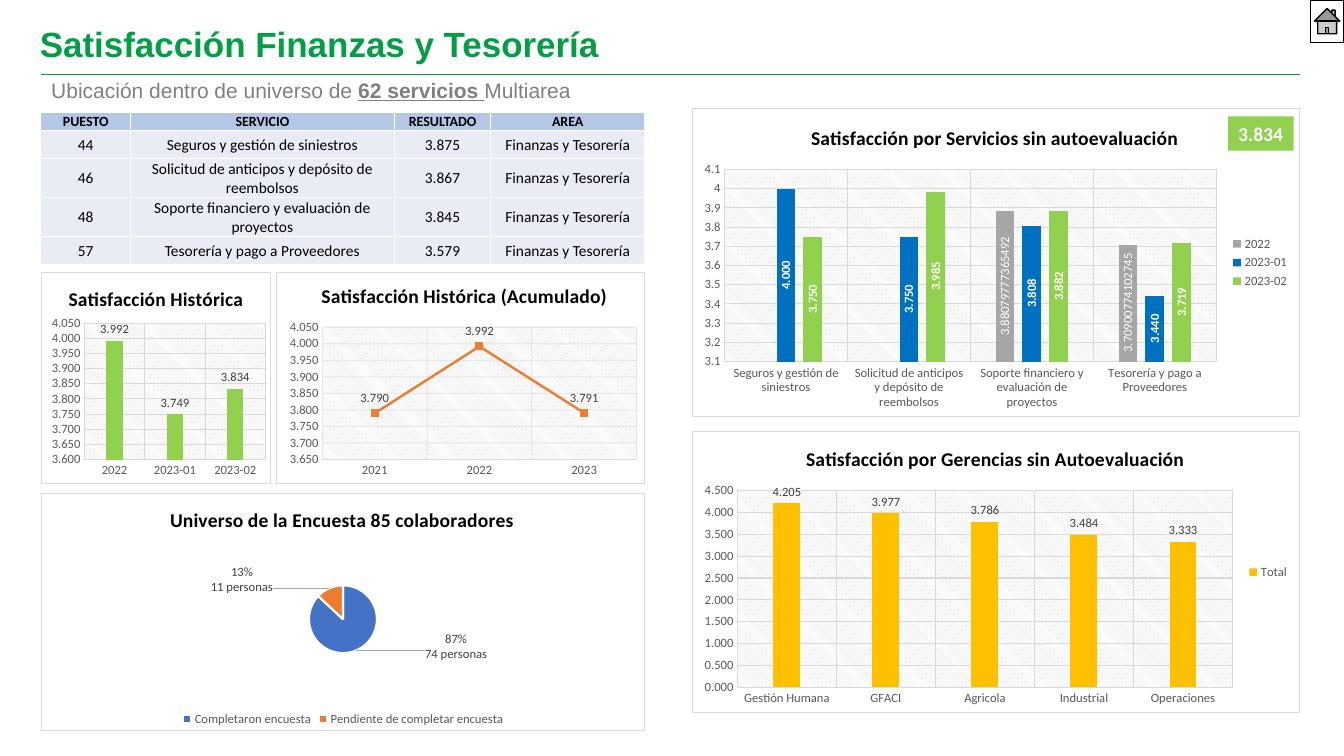
from dataclasses import dataclass
from typing import NamedTuple, Optional
from pptx import Presentation
from pptx.chart.chart import Chart
from pptx.chart.data import CategoryChartData
from pptx.dml.color import RGBColor
from pptx.enum.chart import XL_CHART_TYPE as KIND, XL_LABEL_POSITION as POS, XL_LEGEND_POSITION as SIDE
from pptx.enum.chart import XL_MARKER_STYLE, XL_TICK_MARK
from pptx.enum.shapes import MSO_CONNECTOR, MSO_SHAPE
from pptx.enum.text import MSO_ANCHOR, MSO_AUTO_SIZE, PP_ALIGN
from pptx.oxml import parse_xml
from pptx.oxml.ns import nsdecls, qn
from pptx.util import Pt

GREEN, GRAY, LIME, BARS = "009F43", "D9D9D9", "92D050", KIND.COLUMN_CLUSTERED
NS = nsdecls("a", "c")

class Box(NamedTuple):
    x: float
    y: float
    w: float
    h: float

class Note(NamedTuple):
    index: int
    text: str
    shift: tuple = ()
    color: str = ""

class Line(NamedTuple):
    name: str
    values: list
    color: str
    form: str = "0.000"
    notes: tuple = ()

@dataclass
class Graph:
    kind: KIND
    box: Box
    area: Box
    title: str
    spot: tuple
    cats: list
    lines: list
    scale: tuple = ()
    form: str = "0.000"
    place: POS = POS.OUTSIDE_END
    ink: str = "404040"
    side: Optional[SIDE] = None

def paint(fill, color: str) -> None:
    fill.solid()
    fill.fore_color.rgb = RGBColor.from_string(color)

def style(font, size: float, color: str, bold: bool = False, face: str = "Calibri") -> None:
    font.name, font.size, font.bold = face, Pt(size), bold
    font.color.rgb = RGBColor.from_string(color)

def stroke(line, color: str, width: float = 0.75) -> None:
    paint(line.fill, color)
    line.width = Pt(width)

def span(box: Box) -> list:
    return [Pt(v) for v in box]

def solid(color: str) -> str:
    return f'<a:solidFill><a:srgbClr val="{color}"/></a:solidFill>'

def arrange(host, index: int, **parts: float) -> None:
    for old in host.findall(qn("c:layout")):
        host.remove(old)
    inner = '<c:layoutTarget val="inner"/>' if "w" in parts else ""
    modes = "" if host.tag == qn("c:dLbl") else '<c:xMode val="edge"/><c:yMode val="edge"/>'
    sizes = "".join(f'<c:{k} val="{v:.4f}"/>' for k, v in parts.items())
    host.insert(index, parse_xml(
        f'<c:layout {NS}><c:manualLayout>{inner}{modes}{sizes}</c:manualLayout></c:layout>'))

def dress(chart: Chart, graph: Graph) -> None:
    root = chart.element.find(qn("c:chart"))
    area, box, plot = root.find(qn("c:plotArea")), graph.box, graph.area
    root.addnext(parse_xml(
        f'<c:spPr {NS}>{solid("FFFFFF")}<a:ln w="{Pt(0.75)}">{solid(GRAY)}</a:ln></c:spPr>'))
    arrange(area, 0, x=(plot.x - box.x) / box.w, y=(plot.y - box.y) / box.h, w=plot.w / box.w, h=plot.h / box.h)
    if graph.kind != KIND.PIE:
        area.append(parse_xml(
            f'<c:spPr {NS}><a:pattFill prst="ltDnDiag"><a:fgClr><a:srgbClr val="{GRAY}"/></a:fgClr>'
            '<a:bgClr><a:srgbClr val="FFFFFF"/></a:bgClr></a:pattFill></c:spPr>'))
    left, top = graph.spot
    arrange(root.find(qn("c:title")), 1, x=(left - box.x) / box.w, y=(top - box.y) / box.h)

def set_axes(chart: Chart, graph: Graph) -> None:
    for axis in (chart.category_axis, chart.value_axis):
        axis.major_tick_mark = axis.minor_tick_mark = XL_TICK_MARK.NONE
        style(axis.tick_labels.font, 9, "595959")
        axis.has_major_gridlines = True
        stroke(axis.major_gridlines.format.line, GRAY)
        stroke(axis.format.line, GRAY)
        if graph.kind == KIND.LINE_MARKERS:
            for shade in axis._element.find(qn("c:majorGridlines")).iter(qn("a:srgbClr")):
                shade.append(parse_xml(f'<a:alpha {NS} val="54000"/>'))
    axis.format.line.fill.background()
    axis.minimum_scale, axis.maximum_scale, axis.major_unit = graph.scale
    axis.tick_labels.number_format, axis.tick_labels.number_format_is_linked = graph.form, False

def mark(series, line: Line, graph: Graph) -> None:
    labels, mid = series.data_labels, graph.place == POS.CENTER
    labels.show_value, labels.position = True, graph.place
    labels.number_format, labels.number_format_is_linked = line.form, False
    style(labels.font, 9, graph.ink, mid)
    for note in line.notes:
        point = series.points[note.index]
        label = point.data_label
        label.text_frame.text = note.text
        for para in label.text_frame.paragraphs:
            style(para.font, 9, graph.ink, mid)
        label.position = graph.place
        if note.shift:
            paint(point.format.fill, note.color)
            stroke(point.format.line, "FFFFFF", 1.5)
            arrange(label._dLbl, 1, x=note.shift[0], y=note.shift[1])
    if mid:
        for body in labels._element.iter(qn("a:bodyPr")):
            body.set("rot", "-5400000")
            body.set("vert", "horz")
    if graph.kind == KIND.PIE:
        for lead in labels._element.findall(qn("c:showLeaderLines")):
            lead.set("val", "1")
            lead.addnext(parse_xml(
                f'<c:leaderLines {NS}><c:spPr><a:ln w="{Pt(0.75)}">{solid("A6A6A6")}</a:ln></c:spPr></c:leaderLines>'))

def draw_graph(slide, graph: Graph) -> None:
    data = CategoryChartData()
    data.categories = graph.cats
    for line in graph.lines:
        data.add_series(line.name, line.values)
    chart = slide.shapes.add_chart(graph.kind, *span(graph.box), data).chart
    style(chart.font, 10, "000000")
    head = chart.chart_title.text_frame
    head.text = graph.title
    style(head.paragraphs[0].font, 14, "000000", True)
    chart.has_legend = graph.side is not None
    if graph.side is not None:
        chart.legend.position, chart.legend.include_in_layout = graph.side, False
        style(chart.legend.font, 9, "595959")
    plot = chart.plots[0]
    plot.vary_by_categories = graph.kind == KIND.PIE
    if graph.kind != KIND.PIE:
        set_axes(chart, graph)
    for series, line in zip(plot.series, graph.lines):
        mark(series, line, graph)
        if graph.kind == BARS:
            plot.gap_width, plot.overlap, series.invert_if_negative = 267, -43, False
            paint(series.format.fill, line.color)
        elif graph.kind == KIND.LINE_MARKERS:
            series.smooth, series.marker.style, series.marker.size = False, XL_MARKER_STYLE.SQUARE, 5
            stroke(series.format.line, line.color, 1.75)
            paint(series.marker.format.fill, line.color)
            stroke(series.marker.format.line, line.color)
    dress(chart, graph)

def draw_table(slide, box: Box, wide: list, tall: list, rows: list) -> None:
    table = slide.shapes.add_table(len(rows), len(wide), *span(box)).table
    table.first_row = table.horz_banding = False
    for col, width in zip(table.columns, wide):
        col.width = Pt(width)
    for r, (row, height) in enumerate(zip(rows, tall)):
        table.rows[r].height = Pt(height)
        for cell, text in zip(table.rows[r].cells, row):
            cell.text = text
            cell.margin_left = cell.margin_right = cell.margin_top = Pt(0.7)
            cell.margin_bottom = Pt(0)
            cell.vertical_anchor = MSO_ANCHOR.MIDDLE if r else MSO_ANCHOR.BOTTOM
            para = cell.text_frame.paragraphs[0]
            para.alignment = PP_ALIGN.CENTER
            style(para.font, 11 if r else 10, "000000", r == 0)
            paint(cell.fill, "E9EBF5" if r else "B4C7E7")
            for i, edge in enumerate(("lnL", "lnR", "lnT", "lnB")):
                cell._tc.tcPr.insert(i, parse_xml(f'<a:{edge} {NS} w="{Pt(1)}">{solid("FFFFFF")}</a:{edge}>'))

def draw_head(slide) -> None:
    rule = slide.shapes.add_connector(MSO_CONNECTOR.STRAIGHT, Pt(29.5), Pt(53.3), Pt(928.3), Pt(53.3))
    stroke(rule.line, GREEN, 0.5)
    rule._element.spPr.append(parse_xml(f'<a:effectLst {NS}/>'))
    title, note = slide.shapes.title, slide.shapes.add_textbox(*span(Box(29.5, 56.9, 390.2, 17.3)))
    title.left, title.top, title.width, title.height = span(Box(21.2, 17.3, 834.5, 31.7))
    title.text_frame.text = "Satisfacción Finanzas y Tesorería"
    for frame, size, color in ((title.text_frame, 25, GREEN), (note.text_frame, 15, "808080")):
        frame.word_wrap, frame.auto_size, frame.vertical_anchor = True, MSO_AUTO_SIZE.NONE, MSO_ANCHOR.MIDDLE
        para = frame.paragraphs[0]
        para.alignment, para.line_spacing = PP_ALIGN.LEFT, 0.9
        style(para.font, size, color, size == 25, "Arial")
    for text, strong in (("Ubicación dentro de universo de ", None), ("62 servicios ", True), ("Multiarea", None)):
        run = para.add_run()
        run.text, run.font.bold, run.font.underline = text, strong, strong

def draw_shape(slide, kind: MSO_SHAPE, box: Box, color: str, edge: str, text: str = "") -> None:
    shape = slide.shapes.add_shape(kind, *span(box))
    shape.shadow.inherit = False
    paint(shape.fill, color)
    stroke(shape.line, edge, 1)
    if text:
        shape.line.fill.background()
        shape.text_frame.text, shape.text_frame.word_wrap = text, False
        style(shape.text_frame.paragraphs[0].font, 14, "FFFFFF", True)

GRAPHS = [
    Graph(BARS, Box(29.5, 194.4, 164.2, 151.2), Box(60, 230.7, 130, 97.9), "Satisfacción Histórica", (46.1, 201),
          ["2022", "2023-01", "2023-02"], [Line("Series 1", [3.992, 3.749, 3.834], LIME)], (3.6, 4.05, 0.05)),
    Graph(KIND.LINE_MARKERS, Box(197.3, 194.4, 263.5, 151.2), Box(230, 233.6, 225, 95),
          "Satisfacción Histórica (Acumulado)", (226.8, 199), ["2021", "2022", "2023"],
          [Line("Series 1", [3.79, 3.992, 3.791], "ED7D31")], (3.65, 4.05, 0.05), place=POS.ABOVE),
    Graph(KIND.PIE, Box(29.5, 352.1, 431.3, 169.9), Box(220.7, 417.9, 48.6, 49),
          "Universo de la Encuesta 85 colaboradores", (118.7, 358.8),
          ["Completaron encuesta", "Pendiente de completar encuesta"],
          [Line("Series 1", [0.87, 0.13], "4472C4", "0%", (Note(0, "87%\n74 personas", (0.11, -0.1), "4472C4"),
                Note(1, "13%\n11 personas", (-0.09, 0.05), "ED7D31")))], side=SIDE.BOTTOM),
    Graph(BARS, Box(494.3, 307.8, 434.2, 201.6), Box(526.4, 350.2, 354.3, 141.2),
          "Satisfacción por Gerencias sin Autoevaluación", (573, 315.2),
          ["Gestión Humana", "GFACI", "Agricola", "Industrial", "Operaciones"],
          [Line("Total", [4.205, 3.977, 3.786, 3.484, 3.333], "FFC000")], (0, 4.5, 0.5), side=SIDE.RIGHT),
    Graph(BARS, Box(494.3, 77.4, 434.2, 220.3), Box(517.2, 120.8, 352, 137.8),
          "Satisfacción por Servicios sin autoevaluación", (576.6, 86),
          ["Seguros y gestión de siniestros", "Solicitud de anticipos y depósito de reembolsos",
           "Soporte financiero y evaluación de proyectos", "Tesorería y pago a Proveedores"],
          [Line("2022", [None, None, 3.881, 3.709], "A6A6A6", "General",
                (Note(2, "3.88079777365492"), Note(3, "3.70900774102745"))),
           Line("2023-01", [4, 3.75, 3.808, 3.44], "0070C0"), Line("2023-02", [3.75, 3.985, 3.882, 3.719], LIME)],
          (3.1, 4.1, 0.1), "General", POS.CENTER, "FFFFFF", SIDE.RIGHT)]
AREA = "Finanzas y Tesorería"
ROWS = [("PUESTO", "SERVICIO", "RESULTADO", "AREA"),
        ("44", "Seguros y gestión de siniestros", "3.875", AREA),
        ("46", "Solicitud de anticipos y depósito de reembolsos", "3.867", AREA),
        ("48", "Soporte financiero y evaluación de proyectos", "3.845", AREA),
        ("57", "Tesorería y pago a Proveedores", "3.579", AREA)]

def main() -> None:
    deck = Presentation()
    deck.slide_width, deck.slide_height = Pt(960), Pt(540)
    slide = deck.slides.add_slide(deck.slide_layouts[5])
    draw_head(slide)
    draw_shape(slide, MSO_SHAPE.ACTION_BUTTON_HOME, Box(936, 0, 24, 30.2), "FFFFFF", "000000")
    draw_table(slide, Box(29.2, 80.2, 431.3, 107.3), [64.1, 188.3, 69.1, 109.8], [11.5, 20.2, 25.2, 25.2, 20.2], ROWS)
    for graph in GRAPHS:
        draw_graph(slide, graph)
    draw_shape(slide, MSO_SHAPE.RECTANGLE, Box(877.3, 83.2, 46.8, 24.5), LIME, LIME, "3.834")
    deck.save("out.pptx")

if __name__ == "__main__":
    main()
